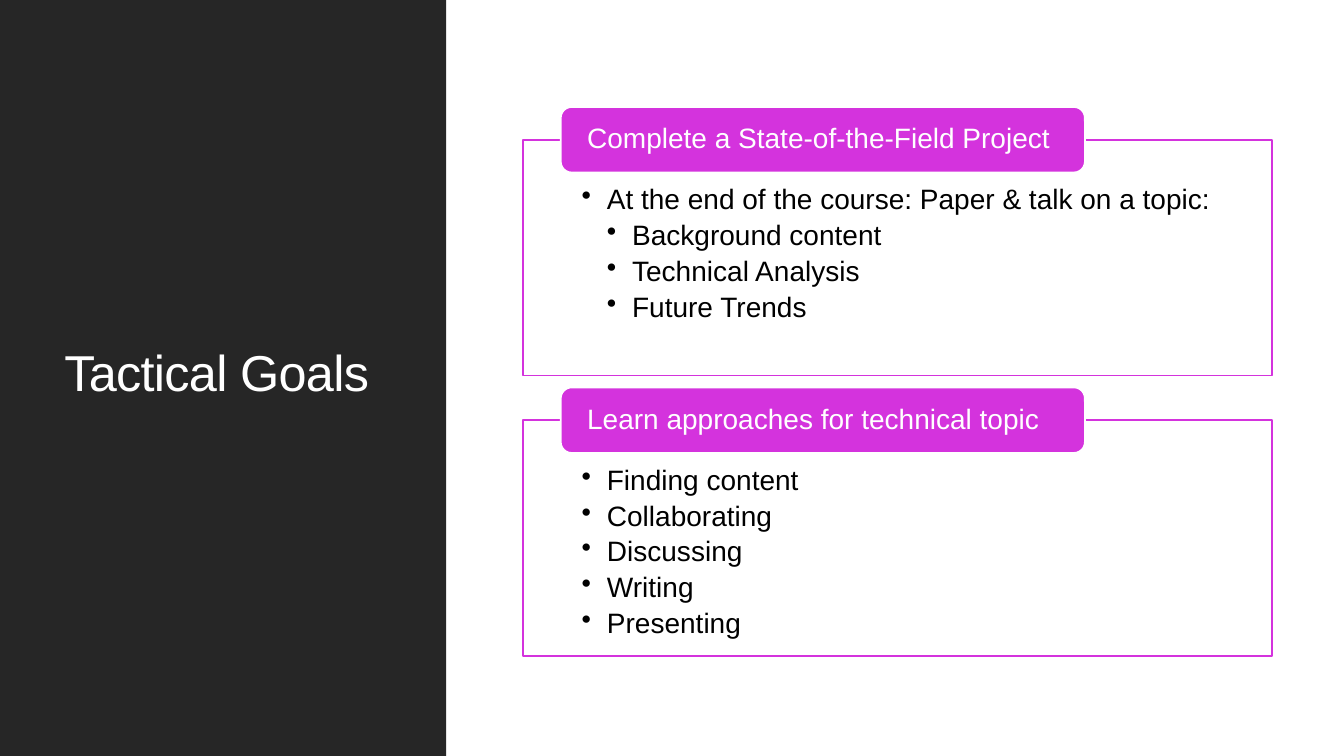
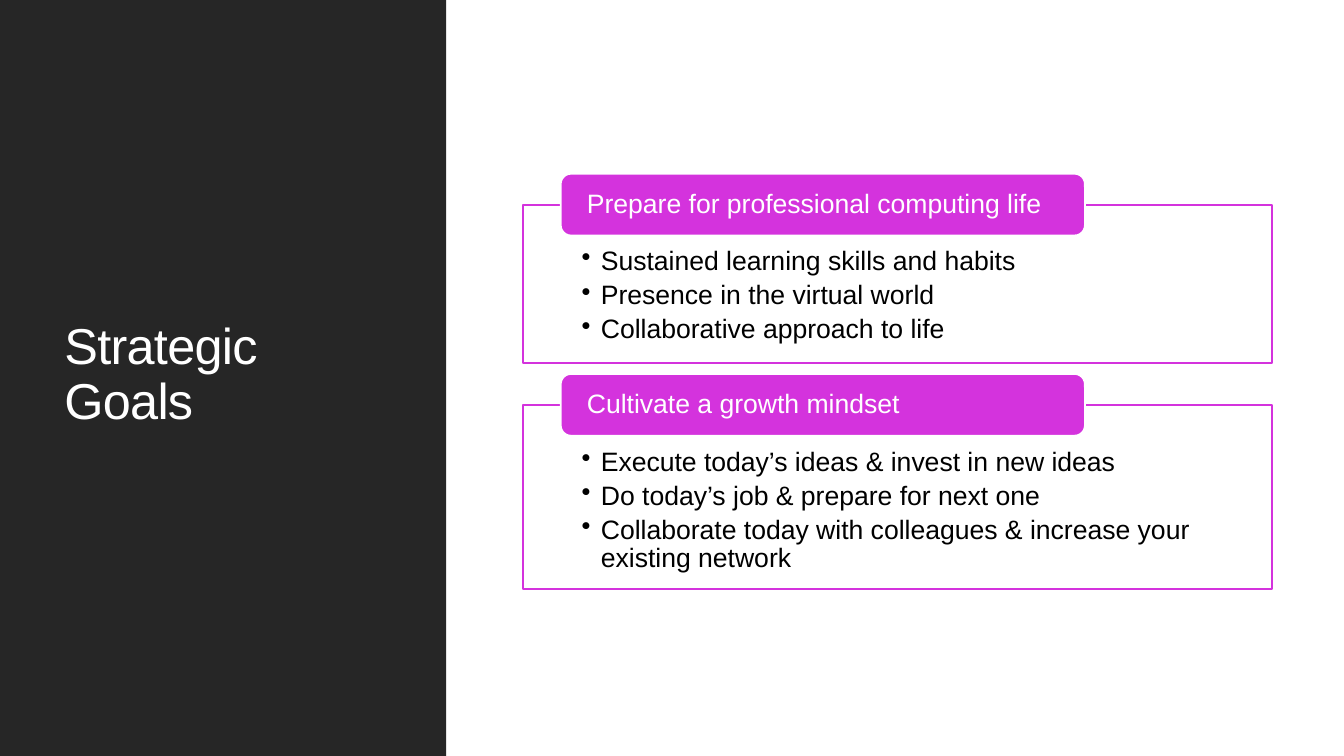
from dataclasses import dataclass

from lxml.etree import SubElement
from pptx import Presentation
from pptx.dml.color import RGBColor as Color
from pptx.enum.shapes import MSO_SHAPE as Shape
from pptx.enum.text import MSO_ANCHOR as Anchor, PP_ALIGN as Align
from pptx.oxml.ns import qn
from pptx.util import Inches, Pt


@dataclass(frozen=True)
class Theme:
    font: str = "Arial"
    dark: Color = Color.from_string("262626")
    accent: Color = Color.from_string("D433DD")
    light: Color = Color.from_string("FFFFFF")
    text: Color = Color.from_string("000000")
    title_size: float = 36
    title_tracking: int = -50
    line_width: float = 1.25
    line_spacing: float = 0.9
    paragraph_gap: float = 0.2


class GoalDeck:
    SIDEBAR = 33.2
    TITLE = (4.05, 7.6, 25.28, 84.13)
    PANEL_LEFT, PANEL_WIDTH = 38.93, 55.73
    TAB_LEFT, TAB_WIDTH = 41.72, 39
    STACK_MIDDLE = 50.47
    GAP_PER_TAB = 0.68
    INSET_PER_TAB = 0.7

    def __init__(self, theme):
        self.theme = theme
        self.deck = Presentation()
        self.deck.slide_width = Inches(13.33)
        self.deck.slide_height = Inches(7.5)
        self.slide = None

    def across(self, percent):
        return round(self.deck.slide_width * percent / 100)

    def down(self, percent):
        return round(self.deck.slide_height * percent / 100)

    def place(self, left, top, width, height):
        return self.across(left), self.down(top), self.across(width), self.down(height)

    def add_page(self, title):
        self.slide = self.deck.slides.add_slide(self.deck.slide_layouts[6])
        self.add_box(Shape.RECTANGLE, (0, 0, self.SIDEBAR, 100), self.theme.dark)
        self.add_title(title)

    def add_box(self, kind, area, fill, line=None):
        box = self.slide.shapes.add_shape(kind, *self.place(*area))
        box.shadow.inherit = False
        box.fill.solid()
        box.fill.fore_color.rgb = fill
        if line is None:
            box.line.fill.background()
        else:
            box.line.color.rgb = line
            box.line.width = Pt(self.theme.line_width)
        return box

    def set_frame(self, box, anchor, side=0.1, top=0.05, bottom=0.05):
        frame = box.text_frame
        frame.word_wrap = True
        frame.vertical_anchor = anchor
        frame.margin_left = frame.margin_right = Inches(side)
        frame.margin_top, frame.margin_bottom = Inches(top), Inches(bottom)
        return frame

    def fill_para(self, para, text, size, color):
        para.text = text
        para.alignment = Align.LEFT
        para.line_spacing = self.theme.line_spacing
        para.font.name = self.theme.font
        para.font.size = Pt(size)
        para.font.color.rgb = color

    def add_title(self, text):
        box = self.slide.shapes.add_textbox(*self.place(*self.TITLE))
        para = self.set_frame(box, Anchor.MIDDLE).paragraphs[0]
        self.fill_para(para, text, self.theme.title_size, self.theme.light)
        for span in para.runs:
            span._r.get_or_add_rPr().set("spc", str(self.theme.title_tracking))

    def add_bullet(self, para, text, level, size, indent):
        self.fill_para(para, text, size, self.theme.text)
        para.level = level
        para.space_after = Pt(size * self.theme.paragraph_gap)
        properties = para._p.get_or_add_pPr()
        properties.set("marL", str(Inches(indent * level)))
        properties.set("indent", str(-Inches(indent)))
        bullet = SubElement(properties, qn("a:buChar"))
        bullet.set("char", "•")
        defaults = properties.find(qn("a:defRPr"))
        defaults.addprevious(bullet)

    def add_panel(self, top, height, tab, heading, bullets, size, indent):
        theme = self.theme
        area = (self.PANEL_LEFT, top, self.PANEL_WIDTH, height)
        panel = self.add_box(Shape.RECTANGLE, area, theme.light, theme.accent)
        inset = self.down(tab * self.INSET_PER_TAB) / Inches(1)
        frame = self.set_frame(panel, Anchor.TOP, 0.58, inset, 0.15)
        for index, (level, text) in enumerate(bullets):
            para = frame.add_paragraph() if index else frame.paragraphs[0]
            self.add_bullet(para, text, level, size, indent)

        area = (self.TAB_LEFT, top - tab / 2, self.TAB_WIDTH, tab)
        label = self.add_box(Shape.ROUNDED_RECTANGLE, area, theme.accent, theme.light)
        frame = self.set_frame(label, Anchor.MIDDLE, 0.23, 0, 0)
        self.fill_para(frame.paragraphs[0], heading, size, theme.light)

    def add_stack(self, panels, tab, size, indent):
        gap = tab * self.GAP_PER_TAB
        total = tab / 2 + sum(height for height, _, _ in panels) + gap * (len(panels) - 1)
        top = self.STACK_MIDDLE - total / 2 + tab / 2
        for height, heading, bullets in panels:
            self.add_panel(top, height, tab, heading, bullets, size, indent)
            top += height + gap


def main():
    goals = GoalDeck(Theme())

    goals.add_page("Tactical Goals")
    goals.add_stack([
        (31.2, "Complete a State-of-the-Field Project", [
            (1, "At the end of the course: Paper & talk on a topic:"),
            (2, "Background content"),
            (2, "Technical Analysis"),
            (2, "Future Trends"),
        ]),
        (31.2, "Learn approaches for technical topic", [
            (1, "Finding content"),
            (1, "Collaborating"),
            (1, "Discussing"),
            (1, "Writing"),
            (1, "Presenting"),
        ]),
    ], tab=8.67, size=20, indent=0.25)

    goals.add_page("Strategic Goals")
    goals.add_stack([
        (20.93, "Prepare for professional computing life", [
            (1, "Sustained learning skills and habits"),
            (1, "Presence in the virtual world"),
            (1, "Collaborative approach to life"),
        ]),
        (24.4, "Cultivate a growth mindset", [
            (1, "Execute today’s ideas & invest in new ideas"),
            (1, "Do today’s job & prepare for next one"),
            (1, "Collaborate today with colleagues & increase your existing network"),
        ]),
    ], tab=8.17, size=19, indent=0.19)

    goals.deck.save("out.pptx")


if __name__ == "__main__":
    main()
